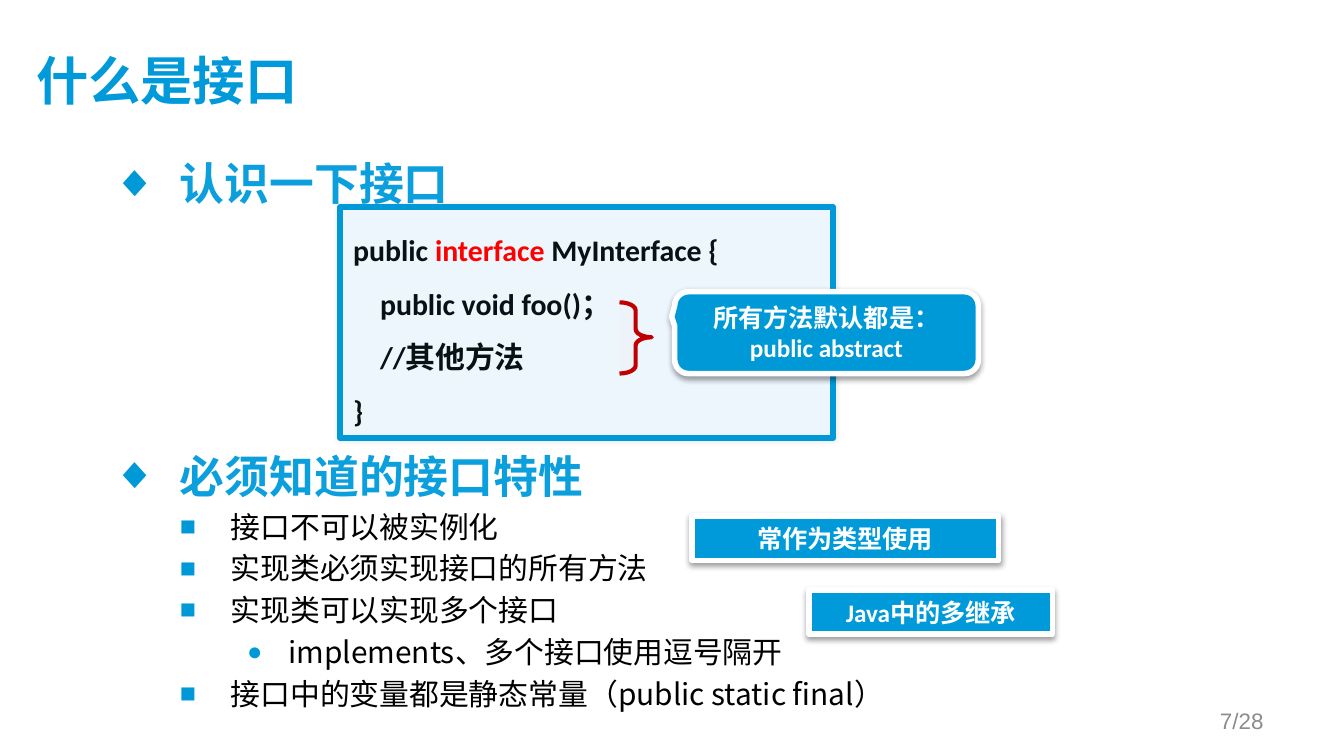
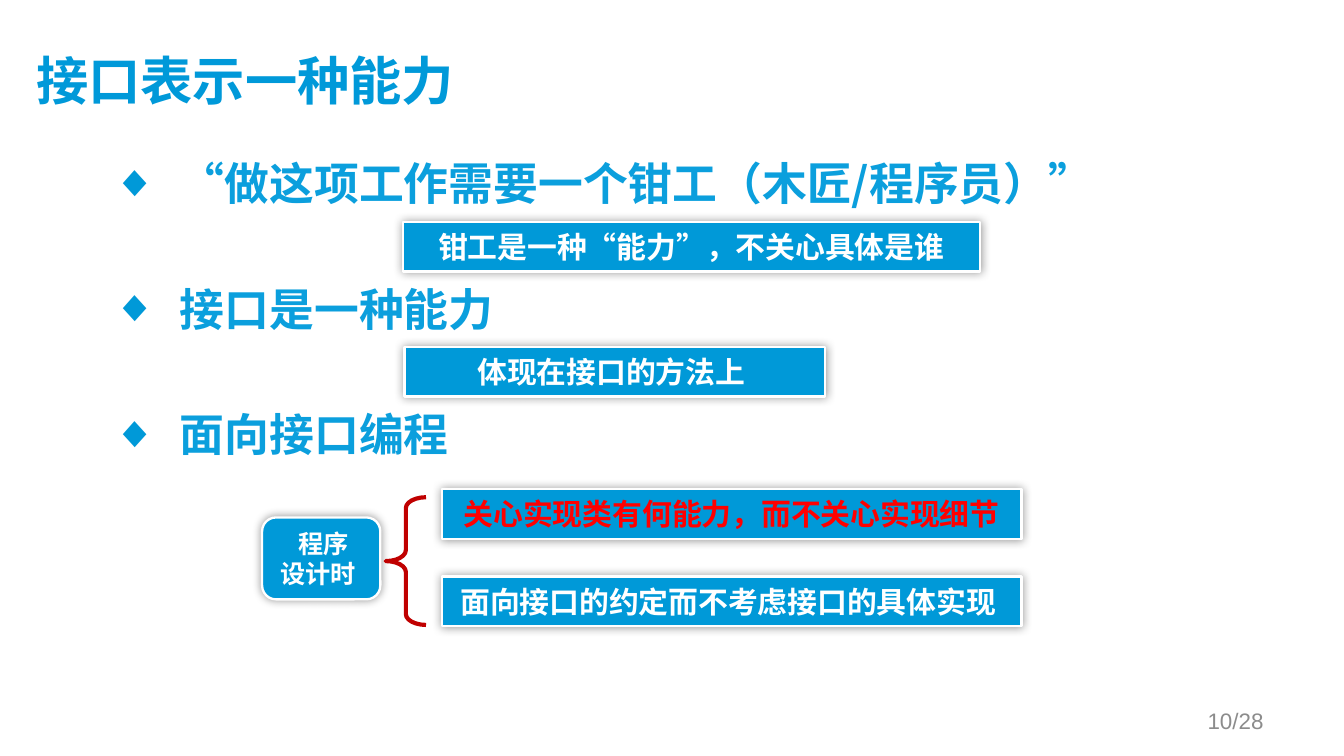
from lxml.etree import SubElement
from pptx import Presentation
from pptx.dml.color import RGBColor
from pptx.enum.shapes import MSO_SHAPE as Geo
from pptx.enum.text import MSO_ANCHOR as Anchor, PP_ALIGN as Align
from pptx.oxml.ns import qn
from pptx.util import Inches, Pt

# Shared look
W = 10
H = W * 9 / 16
BLUE = RGBColor(0x00, 0x99, 0xD8)
NOTE_BLUE = RGBColor(0x00, 0x9A, 0xDA)
TITLE_BLUE = RGBColor(0x00, 0x99, 0xD9)
HEAD_BLUE = RGBColor(0x0B, 0x9F, 0xDD)
PALE = RGBColor(0xED, 0xF5, 0xFD)
PINK = RGBColor(0xFF, 0xDD, 0xDD)
INK = RGBColor(0x07, 0x12, 0x15)
RED = RGBColor(0xFF, 0x00, 0x00)
BRACE_RED = RGBColor(0xC0, 0x00, 0x00)
GREY = RGBColor(0x8C, 0x8C, 0x8C)
BLACK = RGBColor(0, 0, 0)
WHITE = RGBColor(0xFF, 0xFF, 0xFF)
CJK, LATIN, FOOT = "Noto Sans CJK SC", "Calibri", "Arial"

# Shadows: opacity %, blur pt, distance pt, angle
FAINT, DROP, GLOW = (10, 3, 0, 0), (38, 3.1, 1.6, 90), (40, 5, 0, 0)

# Bullet levels: mark, mark size %, left, hanging, text size, colour, bold
LEVELS = [("◆", 100, 0.5, 0.5, 24, HEAD_BLUE, True),
          ("■", 90, 0.88, 0.38, 16, BLACK, False),
          ("●", 85, 1.31, 0.31, 16, BLACK, False)]
BEFORE, PITCH = 0.2, 1.4    # gap above and line pitch, as shares of text size

# Content: bullets are (level, text, points left free above)
INTRO = dict(
    title="什么是接口", page="7/28",
    bullets=[(0, "认识一下接口", 0),
             (0, "必须知道的接口特性", 4 * 22 * PITCH),
             (1, "接口不可以被实例化", 0),
             (1, "实现类必须实现接口的所有方法", 0),
             (1, "实现类可以实现多个接口", 0),
             (2, "implements、多个接口使用逗号隔开 ", 0),
             (1, "接口中的变量都是静态常量（public static final）", 0)])
CODE = [(0, [("public ", INK), ("interface", RED), (" MyInterface {", INK)]),
        (0.2, [("public void foo()；", INK)]),
        (0.2, [("//其他方法", INK)]),
        (0, [("}", INK)])]
NOTES = [((6.02, 4.39, 1.81, 0.33), "Java中的多继承"),
         ((5.15, 3.84, 2.28, 0.33), " 常作为类型使用 ")]

ABILITY = dict(
    title="接口表示一种能力", page="10/28",
    bullets=[(0, "“做这项工作需要一个钳工（木匠/程序员）”", 0),
             (0, "接口是一种能力", 24 * PITCH),
             (0, "面向接口编程", 24 * PITCH)])
BANNERS = [(3.29, 3.64, 4.31, " 关心实现类有何能力，而不关心实现细节 ", RED),
           (3, 1.65, 4.29, " 钳工是一种“能力”，不关心具体是谁 ", WHITE),
           (3.01, 2.58, 3.13, "体现在接口的方法上 ", WHITE),
           (3.29, 4.29, 4.31, "面向接口的约定而不考虑接口的具体实现 ", WHITE)]


def inches(at):
    return [Inches(v) for v in at]


def add_run(p, text, size, color, bold=False, font=LATIN):
    r = p.add_run()
    r.text = text
    f = r.font
    f.size, f.bold, f.name, f.color.rgb = Pt(size), bold, font, color
    SubElement(r._r.get_or_add_rPr(), qn("a:ea"), typeface=CJK)


def paragraphs(tf, count):
    return [tf.paragraphs[0]] + [tf.add_paragraph() for _ in range(count - 1)]


def set_alpha(fill_parent, percent):
    SubElement(fill_parent.find(".//" + qn("a:srgbClr")), qn("a:alpha"),
               val=str(percent * 1000))


def add_shadow(sp, opacity, blur, dist, angle):
    effects = sp._element.spPr.find(qn("a:effectLst"))
    shadow = SubElement(effects, qn("a:outerShdw"), blurRad=str(Pt(blur)),
                        dist=str(Pt(dist)), dir=str(angle * 60000),
                        algn="ctr", rotWithShape="0")
    SubElement(shadow, qn("a:srgbClr"), val="000000")
    set_alpha(shadow, opacity)


def add_shape(slide, geo, at, adj, fill, line, width, shadow=None):
    sp = slide.shapes.add_shape(geo, *inches(at))
    for i, value in enumerate(adj):
        sp.adjustments[i] = value
    sp.shadow.inherit = False
    if fill is None:
        sp.fill.background()
    else:
        sp.fill.solid()
        sp.fill.fore_color.rgb = fill
    sp.line.color.rgb, sp.line.width = line, Pt(width)
    if shadow:
        add_shadow(sp, *shadow)
    return sp


def add_label(slide, geo, at, adj, lines, size, width, shadow,
              color=WHITE, fill=BLUE):
    """Blue box with a white edge and centred bold lines."""
    sp = add_shape(slide, geo, at, adj, fill, WHITE, width, shadow)
    tf = sp.text_frame
    tf.word_wrap, tf.vertical_anchor = True, Anchor.MIDDLE
    tf.margin_top = tf.margin_bottom = 0
    for p, text in zip(paragraphs(tf, len(lines)), lines):
        p.alignment = Align.CENTER
        add_run(p, text, size, color, True)


def add_bullet(p, level, text, gap):
    mark, mark_size, left, hang, size, color, bold = LEVELS[level]
    p.space_before = Pt(round(BEFORE * size + gap, 1))
    pPr = p._p.get_or_add_pPr()
    pPr.set("marL", str(Inches(left)))
    pPr.set("indent", str(-Inches(hang)))
    SubElement(SubElement(pPr, qn("a:buClr")), qn("a:srgbClr"), val=str(BLUE))
    SubElement(pPr, qn("a:buSzPct"), val=str(mark_size * 1000))
    SubElement(pPr, qn("a:buFont"), typeface=FOOT)
    SubElement(pPr, qn("a:buChar"), char=mark)
    add_run(p, text, size, color, bold, CJK)


def add_slide(prs, title, page, bullets):
    slide = prs.slides.add_slide(prs.slide_layouts[5])
    # Title
    sp = slide.shapes.title
    sp.left, sp.top, sp.width, sp.height = inches((0.27, 0.23, 8.95, 0.77))
    tf = sp.text_frame
    tf.vertical_anchor = Anchor.MIDDLE
    tf.margin_left = tf.margin_top = 0
    tf.margin_right, tf.margin_bottom = Inches(0.1), Inches(0.05)
    p = tf.paragraphs[0]
    p.alignment = Align.LEFT
    add_run(p, title, 28, TITLE_BLUE, True, CJK)
    # Bullets
    tf = slide.shapes.add_textbox(*inches((0.74, 1.11, 8.49, 3.71))).text_frame
    tf.word_wrap = True
    for p, bullet in zip(paragraphs(tf, len(bullets)), bullets):
        add_bullet(p, *bullet)
    # Page number
    tf = slide.shapes.add_textbox(*inches((7.17, 5.21, 2.33, 0.3))).text_frame
    tf.word_wrap, tf.vertical_anchor = True, Anchor.MIDDLE
    p = tf.paragraphs[0]
    p.alignment = Align.RIGHT
    add_run(p, page, 12, GREY, font=FOOT)
    return slide


prs = Presentation()
prs.slide_width, prs.slide_height = Inches(W), Inches(H)

# Slide 1: code sample, callout, notes and brace
slide = add_slide(prs, **INTRO)
sp = add_shape(slide, Geo.ROUNDED_RECTANGLE, (2.53, 1.54, 3.67, 1.72), [0],
               PALE, BLUE, 3, FAINT)
tf = sp.text_frame
tf.word_wrap, tf.vertical_anchor = True, Anchor.TOP
for p, (indent, runs) in zip(paragraphs(tf, len(CODE)), CODE):
    p.alignment, p.line_spacing = Align.LEFT, 1.5
    p._p.get_or_add_pPr().set("marL", str(Inches(indent)))
    for text, color in runs:
        add_run(p, text, 16, color, True)
add_label(slide, Geo.ROUNDED_RECTANGULAR_CALLOUT, (5.02, 2.17, 2.26, 0.61),
          [-0.51, -0.19, 0.17], ["所有方法默认都是：", "public abstract"],
          13.5, 3, DROP)
for at, text in NOTES:
    add_label(slide, Geo.ROUNDED_RECTANGLE, at, [0], [text], 13.5, 3, DROP,
              fill=NOTE_BLUE)
brace = add_shape(slide, Geo.RIGHT_BRACE, (4.61, 2.25, 0.24, 0.53),
                  [0.25, 0.49], PINK, BRACE_RED, 2.25)
set_alpha(brace._element.spPr.find(qn("a:solidFill")), 10)

# Slide 2: banners, design-time box and brace
slide = add_slide(prs, **ABILITY)
for left, top, width, text, color in BANNERS:
    add_label(slide, Geo.ROUNDED_RECTANGLE, (left, top, width, 0.37), [0],
              [text], 16, 1.25, GLOW, color)
add_label(slide, Geo.ROUNDED_RECTANGLE, (1.95, 3.85, 0.88, 0.61), [0.17],
          [" 程序", "设计时 "], 13.5, 1.25, GLOW)
add_shape(slide, Geo.LEFT_BRACE, (2.87, 3.7, 0.3, 0.95), [0.27, 0.5],
          None, BRACE_RED, 2.25)

prs.save("out.pptx")
